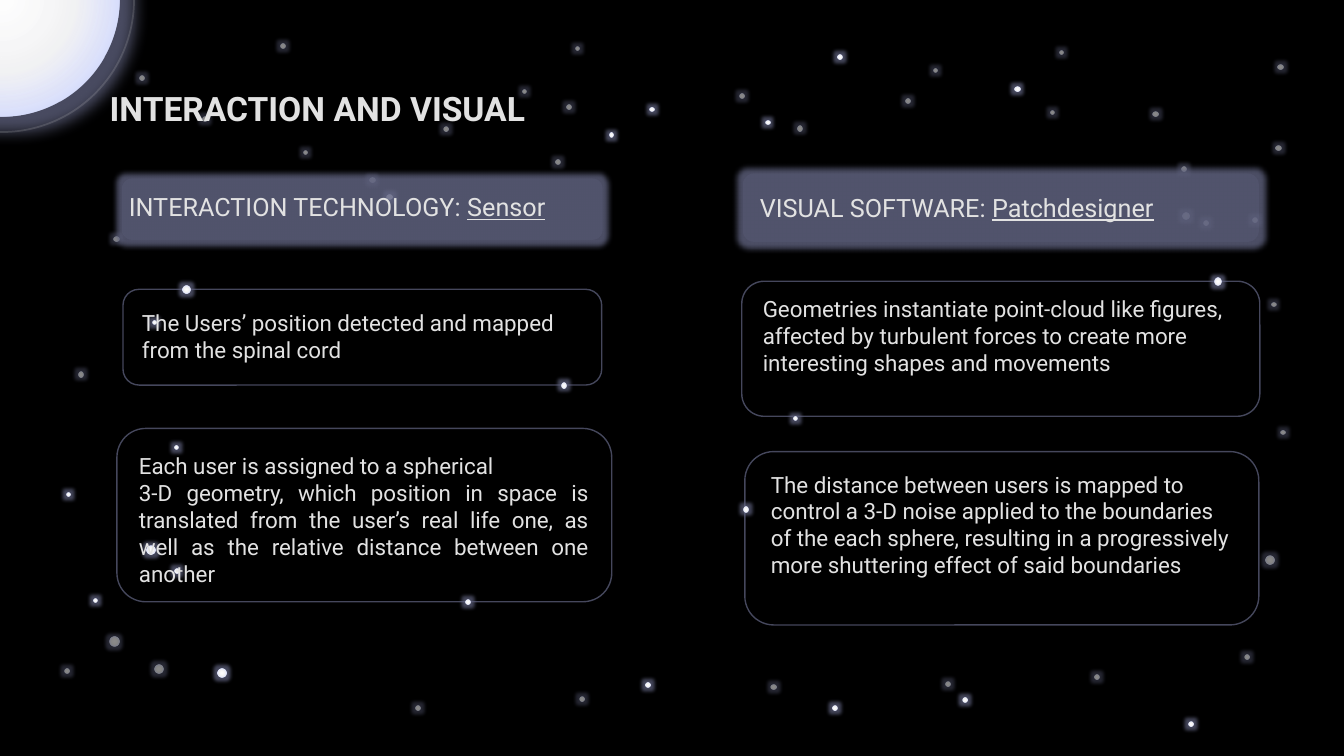
from pptx import Presentation
from pptx.dml.color import RGBColor
from pptx.enum.shapes import MSO_SHAPE
from pptx.enum.text import PP_ALIGN
from pptx.oxml import parse_xml
from pptx.oxml.ns import nsdecls, qn
from pptx.util import Cm, Pt

dim_stars = {
    0.09: [(1.53, 6.59), (1.09, 6.32), (12.56, 5.51)],
    0.07: [(11.73, 2.11)],
    0.05: [
        (11.72, 1.65), (7.65, 6.79), (9.38, 6.76), (12.35, 6.49), (10.86, 6.69),
        (3.67, 1.76), (1.38, 0.75), (1.13, 2.35), (2.01, 1.16), (2.78, 0.43),
        (4.4, 1.26), (0.78, 3.69), (4.12, 7), (5.75, 6.91), (5.51, 1.58),
        (5.62, 1.04), (7.34, 0.93), (8.98, 0.98), (11.44, 1.11), (12.66, 1.44),
        (12.43, 2.16), (11.94, 2.19), (0.64, 6.63), (7.91, 1.25), (12.68, 0.64),
    ],
    0.04: [
        (3.01, 1.49), (5.71, 0.46), (12.71, 4.27), (10.51, 0.5), (9.26, 0.68),
        (12.62, 3), (5.18, 0.89), (10.42, 1.1),
    ],
}
bright_stars = {
    0.09: [(1.45, 5.41), (2.16, 6.63)],
    0.05: [
        (8.31, 0.54), (1.73, 5.64), (6.4, 6.77), (3.84, 1.93), (8.26, 7),
        (11.79, 7.16), (10.07, 0.86), (9.55, 6.92),
    ],
    0.04: [
        (6.05, 1.32), (0.93, 5.94), (1.73, 4.42), (0.66, 4.89), (7.6, 1.2),
        (6.45, 1.07), (1.51, 3.18),
    ],
}
edge_stars = {
    0.08: [(1.81, 2.83)],
    0.07: [(12.05, 2.76)],
    0.05: [(5.57, 3.8), (4.62, 5.95), (7.38, 5.03)],
    0.04: [(7.87, 4.13)],
}
title = ("INTERACTION AND VISUAL", (0.99, 0.82, 4.91, 0.5))
bars = [
    ((1.21, 1.77, 4.77, 0.61), (1.18, 1.85, 4.87, 0.4), "INTERACTION TECHNOLOGY: ", "Sensor"),
    ((7.37, 1.72, 5.12, 0.68), (7.44, 1.86, 4.87, 0.4), "VISUAL SOFTWARE: ", "Patchdesigner"),
]
panels = [
    ((1.22, 2.87, 4.75, 0.95), (1.31, 3.02, 4.5, 0.64), PP_ALIGN.LEFT,
     ["The Users’ position detected and mapped from the spinal cord"]),
    ((1.16, 4.25, 4.91, 1.72), (1.28, 4.44, 4.66, 1.45), PP_ALIGN.JUSTIFY,
     ["Each user is assigned to a spherical ",
      "3-D geometry, which position in space is translated from the user’s real life one, "
      "as well as the relative distance between one another"]),
    ((7.36, 2.79, 5.14, 1.34), (7.47, 2.88, 4.8, 1.18), PP_ALIGN.LEFT,
     ["Geometries instantiate point-cloud like figures, affected by turbulent forces "
      "to create more interesting shapes and movements"]),
    ((7.39, 4.48, 5.1, 1.72), (7.55, 4.62, 4.82, 1.45), PP_ALIGN.LEFT,
     ["The distance between users is mapped to control a 3-D noise applied to the boundaries "
      "of the each sphere, resulting in a progressively more shuttering effect of said boundaries"]),
]
theme = {
    "font": "Roboto", "text": "E2E2E2", "sky": "000000", "haze": "626582", "ring": "D9D9D9",
    "title": 24, "head": 18, "body": 16,
    "moon": [(4, "FFFFFF", 100), (44, "FFFFFF", 93), (73, "D5DCFE", 100), (100, "D9D9D9", 100)],
}

deck = Presentation()
deck.slide_width, deck.slide_height = Cm(33.87), Cm(19.05)
slide = deck.slides.add_slide(deck.slide_layouts[6])
back = slide.background.fill
back.solid()
back.fore_color.rgb = RGBColor.from_string(theme["sky"])


def place(box):
    return [Cm(side * 2.54) for side in box]


def paint(fill, color, alpha):
    fill.solid()
    fill.fore_color.rgb = RGBColor.from_string(color)
    node = fill._xPr.find(qn("a:solidFill"))[0]
    node.append(parse_xml(f'<a:alpha {nsdecls("a")} val="{alpha * 1000}"/>'))


def shape(kind, box, fill=None, line=None, alpha=100, width=1, glow=None):
    item = slide.shapes.add_shape(kind, *place(box))
    item.shadow.inherit = False
    if fill:
        paint(item.fill, fill, alpha)
    else:
        item.fill.background()
    if line:
        paint(item.line.fill, line, alpha)
        item.line.width = Pt(width)
    else:
        item.line.fill.background()
    if glow:
        size, force = glow
        item._element.spPr.find(qn("a:effectLst")).append(parse_xml(
            f'<a:glow {nsdecls("a")} rad="{Pt(size)}"><a:srgbClr val="{theme["haze"]}">'
            f'<a:alpha val="{force * 1000}"/></a:srgbClr></a:glow>'))
    return item


def orb(box, glow):
    item = shape(MSO_SHAPE.OVAL, box, fill=theme["ring"], glow=glow)
    stops = "".join(
        f'<a:gs pos="{pos * 1000}"><a:srgbClr val="{color}"><a:alpha val="{alpha * 1000}"/></a:srgbClr></a:gs>'
        for pos, color, alpha in theme["moon"])
    props = item._element.spPr
    props.replace(props.find(qn("a:solidFill")), parse_xml(
        f'<a:gradFill {nsdecls("a")}><a:gsLst>{stops}</a:gsLst><a:path path="circle">'
        '<a:fillToRect l="50000" t="50000" r="50000" b="50000"/></a:path></a:gradFill>'))


def scatter(stars):
    for size, spots in stars.items():
        for left, top in spots:
            orb((left, top, size, size), (5, 70))


def write(text, box, size, bold=False, align=PP_ALIGN.LEFT, under=""):
    frame = slide.shapes.add_textbox(*place(box)).text_frame
    frame.word_wrap = True
    for index, words in enumerate(text):
        para = frame.paragraphs[0] if index == 0 else frame.add_paragraph()
        para.alignment = align
        for part, mark in ((words, False), (under, True)):
            if part:
                run = para.add_run()
                run.text = part
                font = run.font
                font.name, font.size, font.bold = theme["font"], Pt(size), bold
                font.underline = mark
                font.color.rgb = RGBColor.from_string(theme["text"])


scatter(dim_stars)
shape(MSO_SHAPE.RECTANGLE, (0, 0, 13.33, 7.5), fill=theme["sky"], alpha=45)
scatter(bright_stars)
orb((-1.15, -1.18, 2.34, 2.34), (22, 75))
shape(MSO_SHAPE.OVAL, (-1.29, -1.32, 2.62, 2.63), line=theme["ring"], alpha=17, width=1.25)

for frame, box, align, text in panels:
    write(text, box, theme["body"], align=align)
    shape(MSO_SHAPE.ROUNDED_RECTANGLE, frame, line=theme["haze"], alpha=71)
scatter(edge_stars)

for frame, box, text, name in bars:
    shape(MSO_SHAPE.ROUNDED_RECTANGLE, frame, fill=theme["haze"], alpha=25, glow=(8, 78))
    write([text], box, theme["head"], under=name)
write([title[0]], title[1], theme["title"], bold=True)

deck.save("out.pptx")
